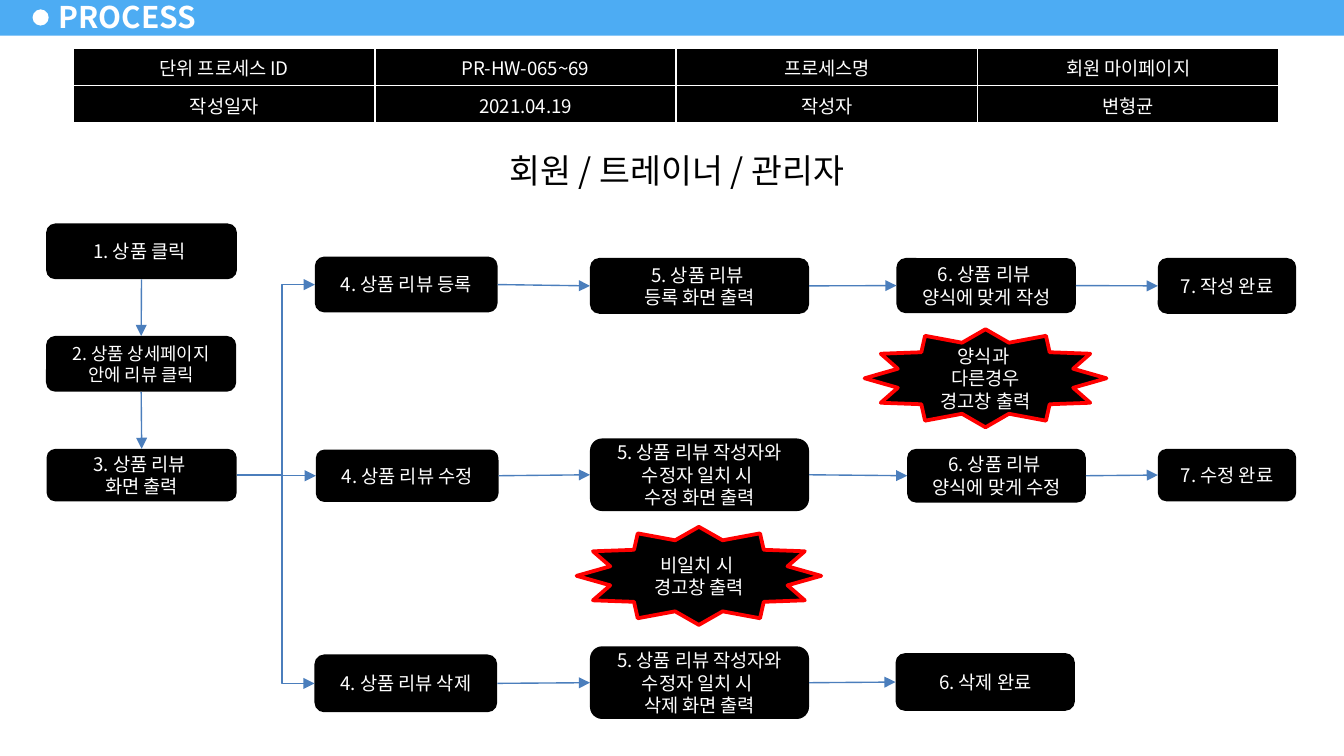
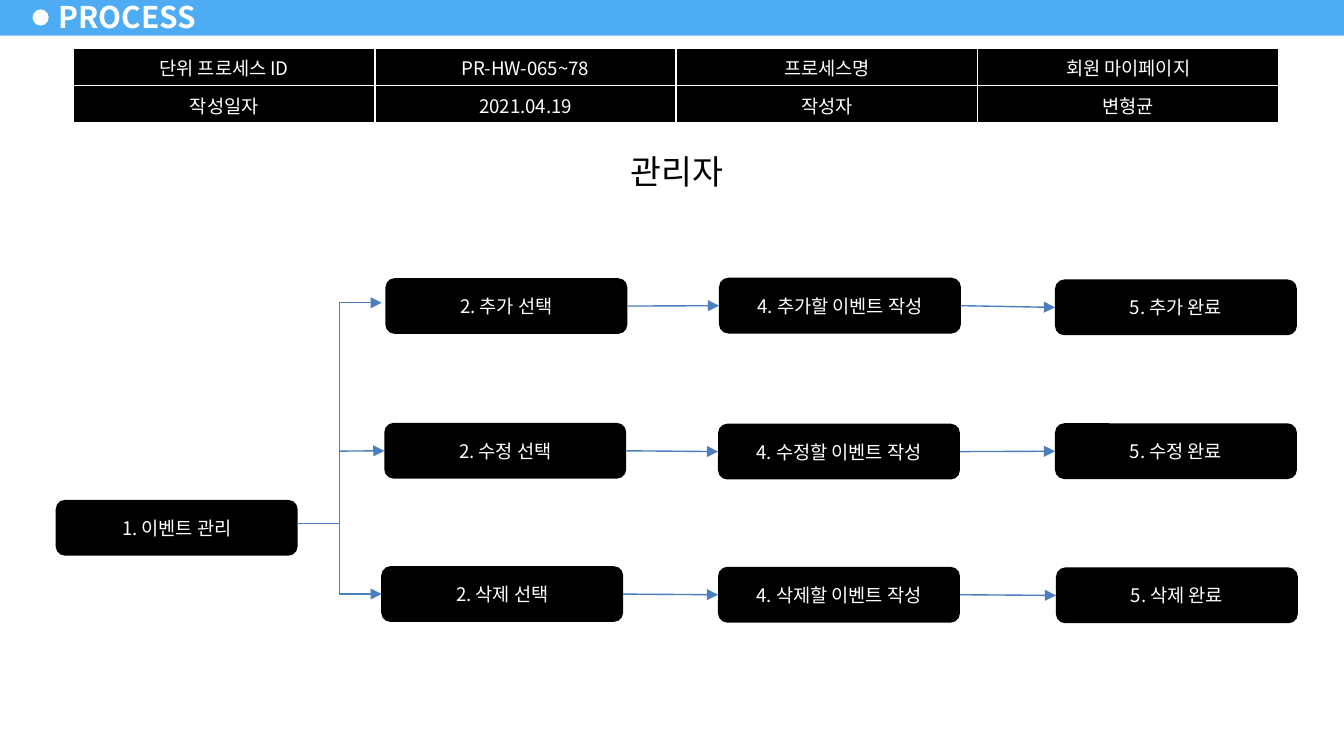
from copy import deepcopy
from dataclasses import dataclass
from itertools import pairwise

from lxml.etree import SubElement
from pptx import Presentation
from pptx.dml.color import RGBColor
from pptx.enum.shapes import MSO_CONNECTOR as Link, MSO_SHAPE as Preset
from pptx.enum.text import MSO_ANCHOR as Anchor, MSO_AUTO_SIZE as AutoSize, PP_ALIGN as Align
from pptx.oxml import parse_xml
from pptx.oxml.ns import nsdecls, qn
from pptx.util import Inches, Pt

FONT = "Noto Sans CJK KR"
BLACK = RGBColor(0x00, 0x00, 0x00)
WHITE = RGBColor(0xFF, 0xFF, 0xFF)
BAND_BLUE = RGBColor(0x4D, 0xAC, 0xF3)
ARROW_BLUE = RGBColor(0x4B, 0x7E, 0xBC)
ALERT_RED = RGBColor(0xFF, 0x00, 0x00)

WIDTH = Inches(10)
HEIGHT = WIDTH * 9 // 16
CELL = WIDTH / 100  # square grid, 100 columns across the slide
TOP, LEFT, BOTTOM, RIGHT = range(4)


@dataclass(frozen=True)
class Step:
    """A box on the grid; in text, \n starts a paragraph and \v breaks a line."""
    col: float
    row: float
    cols: float
    rows: float
    text: str = ""
    size: float = 10


@dataclass(frozen=True)
class Branch:
    """An elbow arrow; bend is the share of its width before it turns."""
    start: tuple[float, float]
    end: tuple[float, float]
    bend: float


@dataclass(frozen=True)
class Process:
    code: str
    audience: Step
    entry: list[Step]
    lanes: list[list[Step]]
    alerts: list[Step]
    branches: list[Branch]
    fork: tuple[float, float]


def grid(*cells: float) -> list[int]:
    return [round(cell * CELL) for cell in cells]


def area(step: Step) -> list[int]:
    return grid(step.col, step.row, step.cols, step.rows)


def apply(target, formats: dict) -> None:
    for attribute, value in formats.items():
        setattr(target, attribute, value)


def write(frame, text: str, size: float, color: RGBColor, align=Align.CENTER, bold=False) -> None:
    frame.text = text
    for paragraph in frame.paragraphs:
        paragraph.alignment = align
        for run in paragraph.runs:
            apply(run.font, {"size": Pt(size), "bold": bold, "name": FONT})
            run.font.color.rgb = color
            SubElement(run.font._element, qn("a:ea"), typeface=FONT)
        for line_break in paragraph._p.findall(qn("a:br")):
            line_break.insert(0, deepcopy(paragraph.runs[0].font._element))


def add_box(slide, preset, step: Step, fill: RGBColor, ink: RGBColor = WHITE):
    box = slide.shapes.add_shape(preset, *area(step))
    box.shadow.inherit = False
    box.fill.solid()
    box.fill.fore_color.rgb = fill
    box.line.fill.background()
    if step.text:
        write(box.text_frame, step.text, step.size, ink)
    return box


def add_alert(slide, step: Step) -> None:
    star = add_box(slide, Preset.STAR_12_POINT, step, BLACK)
    star.line.color.rgb = ALERT_RED
    star.line.width = Pt(2)
    apply(star.text_frame, dict.fromkeys(
        ("margin_left", "margin_top", "margin_right", "margin_bottom"), 0))


def add_arrow(slide, kind, start: tuple[float, float], end: tuple[float, float]):
    arrow = slide.shapes.add_connector(kind, *grid(*start, *end))
    arrow.line.color.rgb = ARROW_BLUE
    arrow.line.width = Pt(0.75)
    SubElement(arrow.line._get_or_add_ln(), qn("a:tailEnd"), type="triangle")
    SubElement(arrow._element.spPr, qn("a:effectLst"))
    return arrow


def add_chain(slide, steps: list[Step], exit_side: int, entry_side: int) -> list:
    """Draw the steps and an arrow from each one to the next."""
    boxes = [add_box(slide, Preset.ROUNDED_RECTANGLE, step, BLACK) for step in steps]
    for before, after in pairwise(boxes):
        arrow = add_arrow(slide, Link.STRAIGHT, (0, 0), (1, 1))
        arrow.begin_connect(before, exit_side)
        arrow.end_connect(after, entry_side)
    return boxes


def add_branch(slide, branch: Branch) -> None:
    arrow = add_arrow(slide, Link.ELBOW, branch.start, branch.end)
    guides = arrow._element.spPr.find(qn("a:prstGeom")).get_or_add_avLst()
    SubElement(guides, qn("a:gd"), name="adj1", fmla=f"val {round(branch.bend * 100000)}")


def add_summary(slide, code: str) -> None:
    rows = (("단위 프로세스 ID", code, "프로세스명", "회원 마이페이지"),
            ("작성일자", "2021.04.19", "작성자", "변형균"))
    table = slide.shapes.add_table(2, 4, *grid(5.47, 3.55, 89.7, 5.6)).table
    apply(table, {"first_row": False, "horz_banding": False})
    for r, row in enumerate(rows):
        for c, text in enumerate(row):
            cell = table.cell(r, c)
            cell.vertical_anchor = Anchor.MIDDLE
            write(cell.text_frame, text, 10, WHITE)
            cell.fill.solid()
            cell.fill.fore_color.rgb = BLACK
            for place, side in enumerate("LRTB"):
                cell._tc.tcPr.insert(place, parse_xml(
                    f'<a:ln{side} {nsdecls("a")} w="{Pt(1)}"><a:solidFill>'
                    f'<a:srgbClr val="{WHITE}"/></a:solidFill></a:ln{side}>'))


def add_header(slide) -> None:
    title = slide.shapes.title
    left, top, width, height = grid(3.45, -0.4, 12.2, 3.2)
    apply(title, {"left": left, "top": top, "width": width, "height": height})
    apply(title.text_frame, {
        "vertical_anchor": Anchor.MIDDLE, "word_wrap": True, "auto_size": AutoSize.NONE,
        "margin_left": Inches(0.09), "margin_right": Inches(0.09),
        "margin_top": Inches(0.04), "margin_bottom": Inches(0.04)})
    write(title.text_frame, "PROCESS", 16, WHITE, Align.LEFT, bold=True)


def put_band_on_layout(slide) -> None:
    """Draw the band and its dot once, then move them behind the layout's parts."""
    band = add_box(slide, Preset.RECTANGLE, Step(0, -0.15, 100, 2.8), BAND_BLUE)
    dot = add_box(slide, Preset.OVAL, Step(2.42, 0.7, 1.2, 1.2), WHITE)
    for place, part in enumerate((band, dot), start=2):
        slide.slide_layout.shapes._spTree.insert(place, part._element)


def draw_process(slide, process: Process) -> None:
    add_header(slide)
    audience = add_box(slide, Preset.RECTANGLE, process.audience, WHITE, BLACK)
    apply(audience.text_frame, {"vertical_anchor": Anchor.TOP,
                                "auto_size": AutoSize.SHAPE_TO_FIT_TEXT})
    add_chain(slide, process.entry, BOTTOM, TOP)
    lanes = [add_chain(slide, lane, RIGHT, LEFT) for lane in process.lanes]
    for alert in process.alerts:
        add_alert(slide, alert)
    for branch in process.branches:
        add_branch(slide, branch)
    add_arrow(slide, Link.STRAIGHT, process.fork, process.fork).end_connect(lanes[1][0], LEFT)
    add_summary(slide, process.code)


REVIEWS = Process(
    code="PR-HW-065~69",
    audience=Step(32.5, 10.7, 35.7, 4, "회원 / 트레이너 / 관리자", 18),
    entry=[Step(3.43, 16.63, 14.2, 4.15, "1. 상품 클릭 "),
           Step(3.43, 25, 14.15, 4.15, "2. 상품 상세페이지\n안에 리뷰 클릭", 9.5),
           Step(3.47, 33.4, 14.15, 3.9, "3. 상품 리뷰 \n화면 출력")],
    lanes=[
        [Step(23.43, 19.1, 13.6, 4.15, "4. 상품 리뷰 등록"),
         Step(43.9, 19.2, 16.3, 4.15, "5. 상품 리뷰 \v등록 화면 출력"),
         Step(66.7, 19.2, 13.35, 4.1, "6. 상품 리뷰 \v양식에 맞게 작성"),
         Step(86.15, 19.2, 10.3, 4.15, "7. 작성 완료")],
        [Step(23.5, 33.45, 13.6, 3.9, "4. 상품 리뷰 수정"),
         Step(43.9, 32.63, 16.3, 5.4, "5. 상품 리뷰 작성자와\v수정자 일치 시 \n수정 화면 출력"),
         Step(67.5, 33.4, 13.3, 4, "6. 상품 리뷰 \v양식에 맞게 수정"),
         Step(86.15, 33.4, 10.3, 3.9, "7. 수정 완료")],
        [Step(23.4, 48.7, 13.6, 4.3, "4. 상품 리뷰 삭제"),
         Step(43.9, 48.1, 16.3, 5.4, "5. 상품 리뷰 작성자와\v수정자 일치 시 \n삭제 화면 출력"),
         Step(66.63, 48.6, 13.35, 4.3, "6. 삭제 완료")]],
    alerts=[Step(64.33, 24.5, 18, 7.3, "양식과 \n다른경우\v경고창 출력"),
            Step(42.9, 39.2, 18.2, 7.3, "비일치 시 \v경고창 출력")],
    branches=[Branch((17.62, 35.35), (23.43, 21.18), 0.58),
              Branch((21, 35.35), (23.4, 50.85), 0)],
    fork=(21, 35.4),
)

EVENT_LANES = (("추가", (20.7, 20.67, 20.8), (28.68, 53.5, 78.5)),
               ("수정", (31.47, 31.53, 31.5), (28.6, 53.43, 78.5)),
               ("삭제", (42.13, 42.18, 42.23), (28.37, 53.43, 78.57)))
EVENT_STEPS = ("2. {} 선택", "4. {}할 이벤트 작성", "5. {} 완료")

EVENTS = Process(
    code="PR-HW-065~78",
    audience=Step(32.5, 10.7, 35.7, 4.1, "관리자", 18),
    entry=[Step(4.15, 37.2, 18, 4.15, "1. 이벤트 관리")],
    lanes=[[Step(col, row, 18, 4.15, label.format(action))
            for col, row, label in zip(cols, rows, EVENT_STEPS)]
           for action, rows, cols in EVENT_LANES],
    alerts=[],
    branches=[Branch((22.13, 38.95), (28.4, 22.53), 0.5),
              Branch((25.25, 28.3), (28.4, 44.2), 0)],
    fork=(25.25, 33.57),
)


def main() -> None:
    deck = Presentation()
    apply(deck, {"slide_width": WIDTH, "slide_height": HEIGHT})
    title_only = deck.slide_layouts[5]
    slides = [deck.slides.add_slide(title_only) for _ in (REVIEWS, EVENTS)]
    put_band_on_layout(slides[0])
    for slide, process in zip(slides, (REVIEWS, EVENTS)):
        draw_process(slide, process)
    deck.save("out.pptx")


if __name__ == "__main__":
    main()
